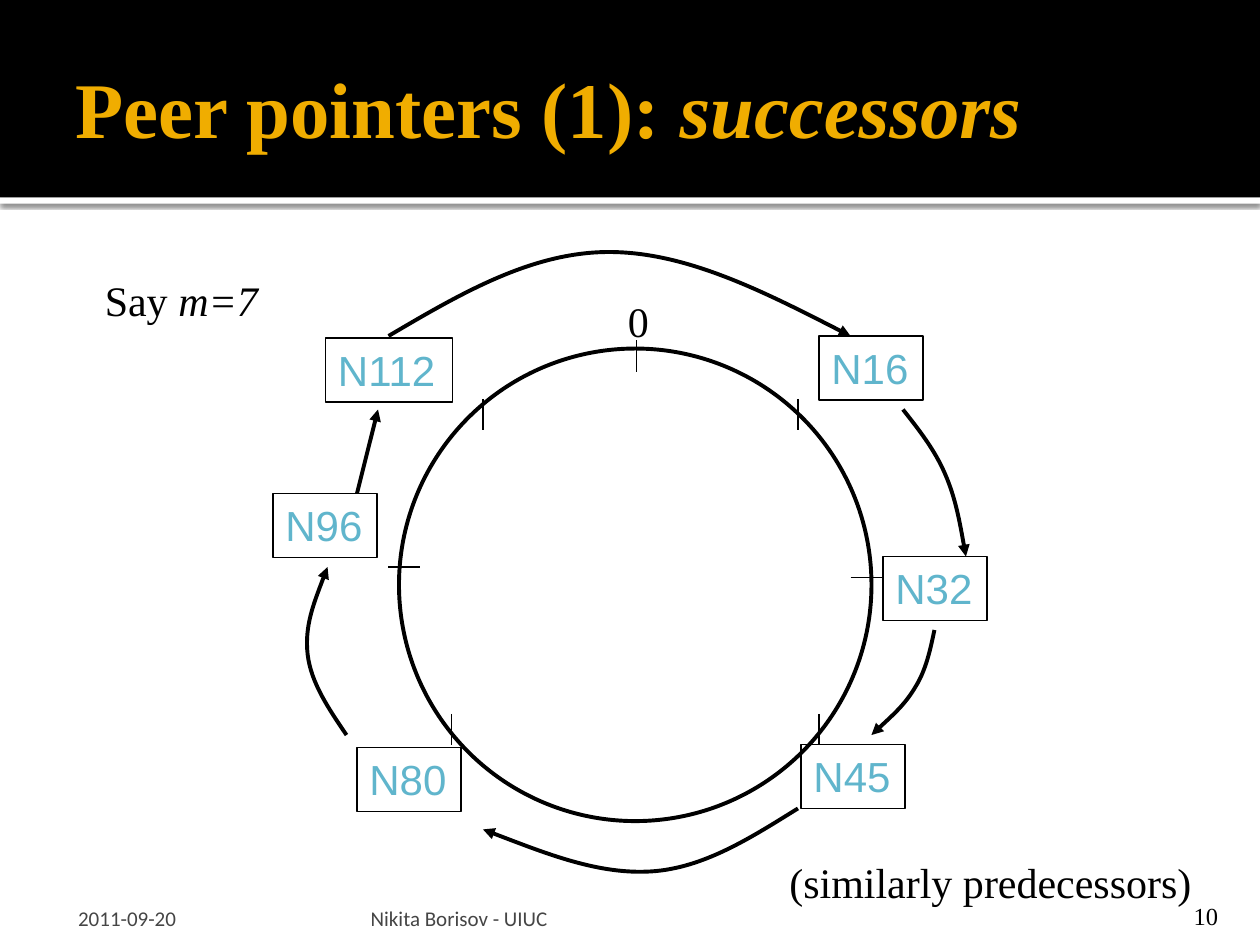
from lxml import etree
from pptx import Presentation
from pptx.dml.color import RGBColor
from pptx.enum.shapes import MSO_CONNECTOR, MSO_SHAPE
from pptx.enum.text import MSO_ANCHOR, MSO_AUTO_SIZE, PP_ALIGN
from pptx.oxml.ns import qn
from pptx.util import Inches, Pt

STRAIGHT = MSO_CONNECTOR.STRAIGHT
RECT, OVAL = MSO_SHAPE.RECTANGLE, MSO_SHAPE.OVAL
TOP, MIDDLE, BOTTOM = MSO_ANCHOR.TOP, MSO_ANCHOR.MIDDLE, MSO_ANCHOR.BOTTOM
LEFT, CENTER, RIGHT = PP_ALIGN.LEFT, PP_ALIGN.CENTER, PP_ALIGN.RIGHT
FIT, FIXED = MSO_AUTO_SIZE.SHAPE_TO_FIT_TEXT, MSO_AUTO_SIZE.NONE

COLORS = {"ink": "000000", "paper": "FFFFFF", "title": "F0AD00",
          "node": "60B5CC", "footer": "454545"}
SERIF, SANS, SMALL = "Times New Roman", "Arial", "Calibri"
COLS, ROWS = 120, 90
WIDTH, HEIGHT = Inches(10), Inches(7.5)
TICK = 3

NODES = [("N80", 8, 47.2, 9.9), ("N32", 58.1, 29, 9.9), ("N45", 50.3, 46.9, 9.9),
         ("N112", 5, 8.2, 12.1), ("N96", 0, 23, 9.9), ("N16", 52, 8, 9.9)]
UPRIGHT_TICKS = [(34.6, 8.4), (50, 14), (52, 44), (17, 44), (20, 14)]
LEVEL_TICKS = [(55, 31), (11, 30)]
SUCCESSOR_CURVES = [
    [(7, 46), (5.3, 43.5), (3.6, 41), (3.3, 38.3), (3, 35.6), (4.1, 32.9), (5.2, 30)],
    [(60, 15), (61.5, 16.9), (63, 18.8), (64, 21.1), (65, 23.4), (65.5, 26.2), (66, 29)],
    [(11, 8), (17.8, 4), (24.6, 0), (32, 0), (39.3, 0), (47.2, 4), (55, 8)],
    [(63, 36), (62.6, 37.9), (62.2, 39.8), (61.2, 41.4), (60.2, 43.1), (58.6, 44.5), (57, 46)],
    [(50, 53), (45.5, 55.8), (41, 58.7), (36, 59), (31, 59.3), (25.5, 57.1), (20, 55)],
]


def rgb(name):
    return RGBColor.from_string(COLORS[name])


def at(x, y):
    return round(WIDTH * x / COLS), round(HEIGHT * y / ROWS)


def within(box, x, y, w, h):
    return box[0] + x, box[1] + y, w, h


def place(box):
    return at(*box[:2]) + at(*box[2:])


def add_text(s, box, parts, size, font, color, align=LEFT, anchor=TOP,
             insets=(0.1, 0.05, 0.1, 0.05), wrap=False, bold=None):
    sp = s.shapes.add_textbox(*place(box))
    tf = sp.text_frame
    tf.word_wrap = wrap
    tf.auto_size = FIXED if wrap else FIT
    tf.vertical_anchor = anchor
    tf.margin_left, tf.margin_top, tf.margin_right, tf.margin_bottom = map(Inches, insets)
    p = tf.paragraphs[0]
    p.alignment = align
    for text, italic in parts:
        r = p.add_run()
        r.text = text
        r.font.name, r.font.size = font, Pt(size)
        r.font.bold, r.font.italic = bold, italic
        r.font.color.rgb = rgb(color)
    return sp


def add_filled(s, box, color):
    sp = s.shapes.add_shape(RECT, *place(box))
    sp.shadow.inherit = False
    sp.fill.solid()
    sp.fill.fore_color.rgb = rgb(color)
    sp.line.fill.background()
    return sp


def set_line(sp, width):
    sp.line.color.rgb = rgb("ink")
    sp.line.width = Pt(width)


def add_arrowhead(sp):
    etree.SubElement(sp.line._get_or_add_ln(), qn("a:tailEnd"), type="triangle")


def add_line(s, box, start, end, width):
    points = [at(box[0] + x, box[1] + y) for x, y in (start, end)]
    sp = s.shapes.add_connector(STRAIGHT, *points[0], *points[1])
    set_line(sp, width)
    etree.SubElement(sp._element.spPr, qn("a:effectLst"))
    return sp


def add_curve(s, box, points):
    start, *rest = [at(box[0] + x, box[1] + y) for x, y in points]
    builder = s.shapes.build_freeform(*start)
    builder.add_line_segments(rest, close=False)
    sp = builder.convert_to_shape()
    sp.shadow.inherit = False
    sp.fill.background()
    set_line(sp, 2.25)
    add_arrowhead(sp)
    outline = sp._element.find(".//" + qn("a:path"))
    segments = outline.findall(qn("a:lnTo"))
    for i in range(0, len(segments), 3):
        bezier = etree.SubElement(outline, qn("a:cubicBezTo"))
        for segment in segments[i:i + 3]:
            bezier.append(segment[0])
            outline.remove(segment)


def draw_header(s, box):
    x, y, w, h = box
    strip = add_filled(s, (x, y + h, w, 0.6), "paper")
    effects = strip._element.spPr.find(qn("a:effectLst"))
    shadow = etree.SubElement(effects, qn("a:outerShdw"), blurRad=str(Pt(2.5)),
                              dist=str(Pt(0.8)), dir="5400000", rotWithShape="0")
    tint = etree.SubElement(shadow, qn("a:srgbClr"), val=COLORS["ink"])
    etree.SubElement(tint, qn("a:alpha"), val="60000")
    add_filled(s, box, "ink")
    add_text(s, within(box, 6, 2, w - 12, h - 2.4),
             [("Peer pointers (1): ", None), ("successors", True)], 45, SERIF, "title",
             anchor=MIDDLE, insets=(0.1, 0.05, 0.05, 0.05), wrap=True, bold=True)


def draw_ring(s, box):
    ring = s.shapes.add_shape(OVAL, *place(within(box, 12, 9.2, 45, 45)))
    ring.shadow.inherit = False
    ring.fill.background()
    set_line(ring, 2.25)
    add_text(s, within(box, 32.6, 3.5, 4.4, 6), [("0", None)], 24, SERIF, "ink",
             align=CENTER, anchor=MIDDLE)
    for x, y in UPRIGHT_TICKS:
        add_line(s, box, (x, y), (x, y + TICK), 0.75)
    for x, y in LEVEL_TICKS:
        add_line(s, box, (x, y), (x + TICK, y), 0.75)
    for points in SUCCESSOR_CURVES:
        add_curve(s, box, points)
    add_arrowhead(add_line(s, box, (8, 23), (10, 15), 2.25))
    for name, x, y, w in NODES:
        node = add_text(s, within(box, x, y, w, 6.1), [(name, None)], 24, SANS, "node")
        set_line(node, 1)


def draw_notes(s, box):
    add_text(s, within(box, 0, 0, 17, 6), [("Say ", None), ("m=7", True)],
             24, SERIF, "ink")
    remark = add_text(s, within(box, 65.2, 55.4, 40.7, 6),
                      [("(similarly predecessors)", None)], 24, SERIF, "ink")
    remark.fill.solid()
    remark.fill.fore_color.rgb = rgb("paper")


def draw_footer(s, box):
    for text, x, w, inset in (("2011-09-20", 0, 28, 0.12),
                              ("Nikita Borisov - UIUC", 28.7, 72.2, 0.05)):
        add_text(s, within(box, x, 0, w, box[3]), [(text, None)], 12, SMALL, "footer",
                 anchor=BOTTOM, insets=(inset, 0.05, 0.05, 0), wrap=True)
    add_text(s, within(box, 101.6, 0, 9.6, box[3]), [("10", None)], 14, SERIF, "ink",
             align=RIGHT, anchor=BOTTOM, insets=(0.1, 0.05, 0.1, 0), wrap=True)


def main():
    prs = Presentation()
    prs.slide_width, prs.slide_height = WIDTH, HEIGHT
    s = prs.slides.add_slide(prs.slide_layouts[6])
    draw_header(s, (0, 0, COLS, 18.8))
    draw_ring(s, (26, 24, 67, 60))
    draw_notes(s, (8.8, 25.6, 106, 61.4))
    draw_footer(s, (6, 85, 111.2, 3.6))
    prs.save("out.pptx")


if __name__ == "__main__":
    main()
